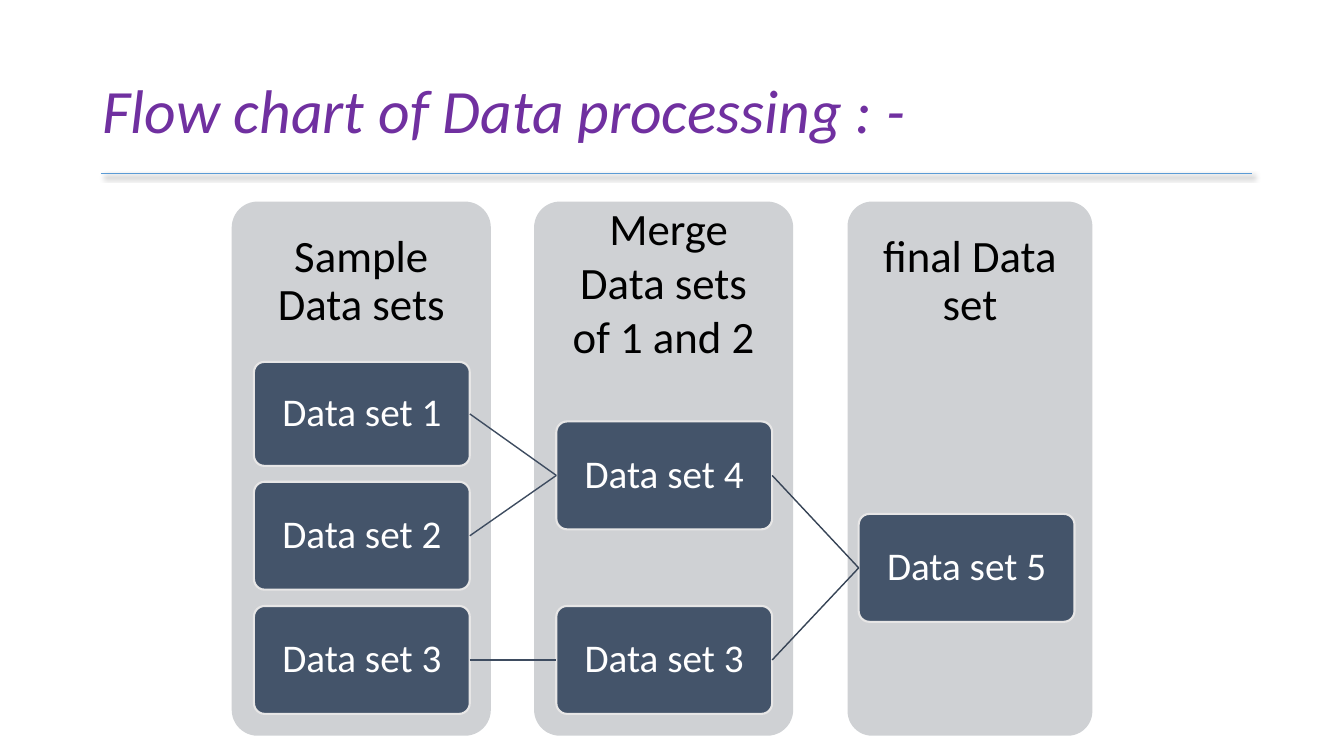
from lxml import etree
from pptx import Presentation
from pptx.dml.color import RGBColor
from pptx.enum.shapes import MSO_CONNECTOR, MSO_SHAPE
from pptx.enum.text import MSO_ANCHOR, PP_ALIGN
from pptx.oxml.ns import qn
from pptx.util import Cm, Pt

STRAIGHT = MSO_CONNECTOR.STRAIGHT
ROUNDED = MSO_SHAPE.ROUNDED_RECTANGLE
MIDDLE = MSO_ANCHOR.MIDDLE
LEFT, CENTER = PP_ALIGN.LEFT, PP_ALIGN.CENTER
LEFT_SIDE, RIGHT_SIDE = 1, 3
FONT = "Calibri"
COLORS = {
    "title": "7030A0", "rule": "5B9BD5", "shadow": "000000",
    "panel": "CFD1D4", "heading": "000000", "box": "44546A",
    "border": "E7E6E6", "box_text": "FFFFFF",
    "merge_link": "3E4C60", "final_link": "364355",
}
PANELS = [
    ("Sample Data sets", 0, 6.53, 0.9),
    (" Merge Data sets of 1 and 2", 7.62, 6.53, 1),
    ("final Data set", 15.52, 6.17, 0.9),
]
BOXES = {
    "sample1": ("Data set 1", 0, 4.04, 2.62),
    "sample2": ("Data set 2", 0, 7.06, 2.72),
    "sample3": ("Data set 3", 0, 10.19, 2.72),
    "merged": ("Data set 4", 1, 5.54, 2.72),
    "kept": ("Data set 3", 1, 10.19, 2.72),
    "final": ("Data set 5", 2, 7.87, 2.72),
}
LINKS = [
    ("sample1", "merged", "merge_link"),
    ("sample2", "merged", "merge_link"),
    ("sample3", "kept", "merge_link"),
    ("merged", "final", "final_link"),
    ("kept", "final", "final_link"),
]


def rgb(name):
    """Return the named colour."""
    return RGBColor.from_string(COLORS[name])


def write(tf, text, size, color, align=CENTER, spacing=0.9, inset=0.05):
    """Fill a text frame with one formatted run and return the run."""
    tf.word_wrap = True
    tf.vertical_anchor = MIDDLE
    tf.margin_left = tf.margin_right = Cm(inset)
    tf.margin_top = tf.margin_bottom = Cm(inset)
    p = tf.paragraphs[0]
    p.alignment, p.line_spacing = align, spacing
    r = p.add_run()
    r.text = text
    r.font.name, r.font.size = FONT, Pt(size)
    r.font.color.rgb = rgb(color)
    return r


def add_shadow(effects):
    """Add a soft outer shadow to an effect list."""
    shadow = etree.SubElement(effects, qn("a:outerShdw"), blurRad="50800",
                              dist="38100", dir="2700000", algn="tl", rotWithShape="0")
    color = etree.SubElement(shadow, qn("a:srgbClr"), val=COLORS["shadow"])
    etree.SubElement(color, qn("a:alpha"), val="40000")


def add_line(slide, x1, y1, x2, y2, color, width):
    """Draw a straight connector and return it with its empty effect list."""
    line = slide.shapes.add_connector(STRAIGHT, Cm(x1), Cm(y1), Cm(x2), Cm(y2))
    line.line.color.rgb = rgb(color)
    line.line.width = Pt(width)
    effects = etree.SubElement(line._element.spPr, qn("a:effectLst"))
    return line, effects


def add_rounded(slide, x, y, w, h, fill):
    """Draw a rounded rectangle without shadow or outline."""
    sp = slide.shapes.add_shape(ROUNDED, Cm(x), Cm(y), Cm(w), Cm(h))
    sp.adjustments[0] = 0.1
    sp.shadow.inherit = False
    sp.fill.solid()
    sp.fill.fore_color.rgb = rgb(fill)
    sp.line.fill.background()
    return sp


def build_title(slide, x, y, w, h):
    """Place the shadowed title and the rule below it."""
    title = slide.shapes.title
    title.left, title.top, title.width, title.height = Cm(x), Cm(y), Cm(w), Cm(h)
    r = write(title.text_frame, "Flow chart of Data processing : -", 44, "title",
              align=LEFT, inset=0.25)
    r.font.italic = True
    effects = etree.Element(qn("a:effectLst"))
    r.font._element.find(qn("a:solidFill")).addnext(effects)
    add_shadow(effects)
    rule_y = y + h - 0.33
    _, effects = add_line(slide, x + 0.21, rule_y, x + w, rule_y, "rule", 0.5)
    add_shadow(effects)


def build_panels(slide, x, y, h):
    """Place the three stage panels with their headings."""
    for heading, dx, w, spacing in PANELS:
        add_rounded(slide, x + dx, y, w, h, "panel")
        tb = slide.shapes.add_textbox(Cm(x + dx), Cm(y), Cm(w), Cm(0.3 * h))
        write(tb.text_frame, heading, 32, "heading", spacing=spacing, inset=0.63)


def build_flow(slide, x, y, pitch, w):
    """Place the data set boxes by column and join them."""
    boxes = {}
    for key, (label, column, dy, h) in BOXES.items():
        sp = add_rounded(slide, x + column * pitch, y + dy, w, h, "box")
        sp.line.color.rgb = rgb("border")
        sp.line.width = Pt(1.5)
        write(sp.text_frame, label, 28, "box_text")
        boxes[key] = sp
    for start, end, color in LINKS:
        line, _ = add_line(slide, 0, 0, 1, 1, color, 1)
        line.begin_connect(boxes[start], RIGHT_SIDE)
        line.end_connect(boxes[end], LEFT_SIDE)


def main():
    """Build the slide and save it."""
    prs = Presentation()
    prs.slide_width, prs.slide_height = Cm(33.87), Cm(19.05)
    slide = prs.slides.add_slide(prs.slide_layouts[5])
    build_title(slide, 2.33, 1.02, 29.21, 3.68)
    build_panels(slide, 5.84, 5.08, 13.46)
    build_flow(slide, 6.4, 5.08, 7.62, 5.44)
    prs.save("out.pptx")


if __name__ == "__main__":
    main()
